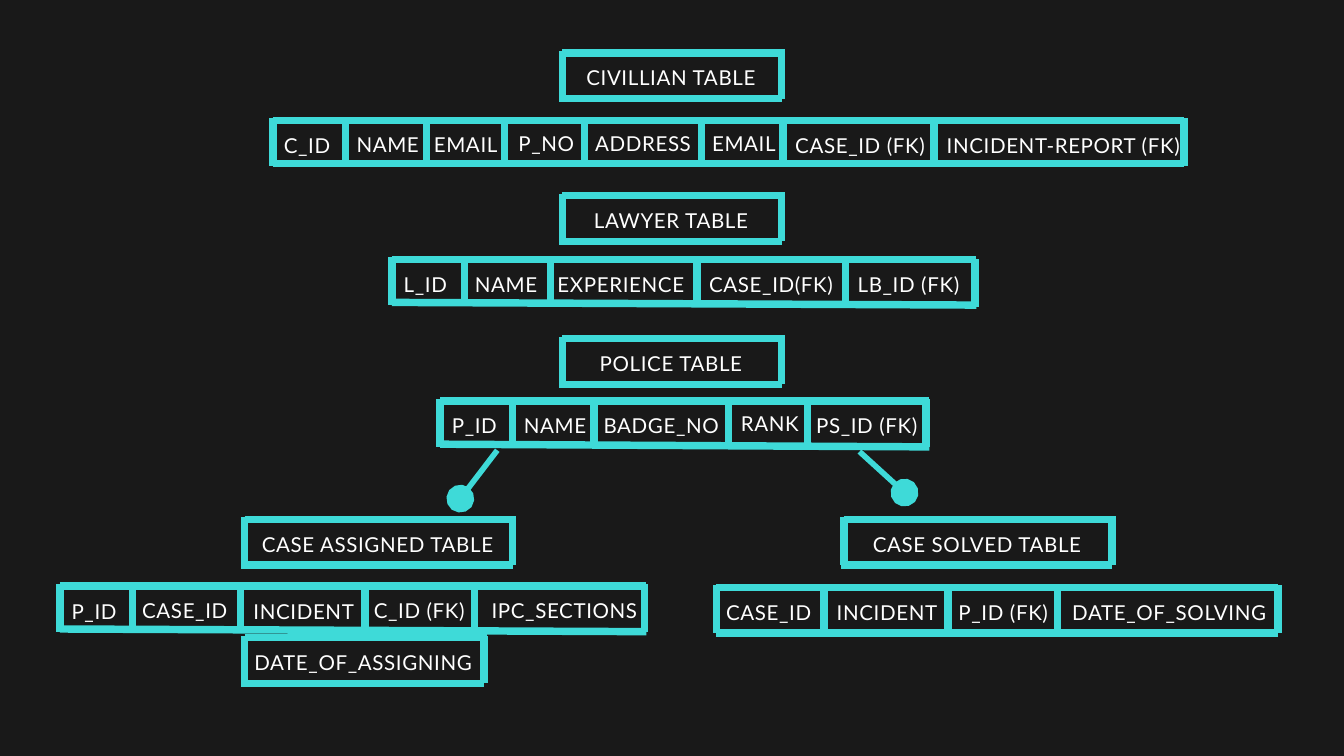
import pptx
import pptx.dml.color
import pptx.enum.shapes
import pptx.enum.text
import pptx.oxml
import pptx.oxml.ns
import pptx.util
from lxml import etree
from pptx.util import Inches

INK, TEAL, DARK = "FFFFFF", "3EDAD8", "191919"
HIGH = 0.71


def tint(color, code):
    color.rgb = pptx.dml.color.RGBColor.from_string(code)


def draw(shapes, x1, y1, x2, y2, size=8, dot=False):
    """Add a straight line, with a round end if dot is set."""
    link = shapes.add_connector(pptx.enum.shapes.MSO_CONNECTOR.STRAIGHT,
                                Inches(x1), Inches(y1), Inches(x2), Inches(y2))
    tint(link.line.color, TEAL)
    link.line.width = pptx.util.Pt(size)
    props = link._element.spPr
    if dot:
        line = props.find(pptx.oxml.ns.qn("a:ln"))
        etree.SubElement(line, pptx.oxml.ns.qn("a:tailEnd"), type="oval", w="lg", len="lg")
    etree.SubElement(props, pptx.oxml.ns.qn("a:effectLst"))


def label(shapes, text, x, y, w):
    frame = shapes.add_textbox(Inches(x), Inches(y), Inches(w), Inches(0.4)).text_frame
    frame.margin_left = frame.margin_right = frame.margin_top = frame.margin_bottom = 0
    frame.word_wrap = True
    frame.auto_size = pptx.enum.text.MSO_AUTO_SIZE.SHAPE_TO_FIT_TEXT
    frame.text = text
    para = frame.paragraphs[0]
    para.alignment = pptx.enum.text.PP_ALIGN.CENTER
    para.line_spacing = pptx.util.Pt(33)
    font = para.runs[0].font
    font.name, font.size = "Lato", pptx.util.Pt(22)
    tint(font.color, INK)
    para.runs[0]._r.get_or_add_rPr().set("spc", "70")


def title(slide, text, x, y, w):
    """Add one framed table name."""
    shapes = slide.shapes.add_group_shape().shapes
    label(shapes, text, x - 0.03, y + 0.12, w + 0.03)
    draw(shapes, x - 0.05, y + HIGH, x + w, y + HIGH)
    draw(shapes, x, y + 0.03, x + w + 0.05, y + 0.03)
    for side in (x, x + w):
        draw(shapes, side, y, side, y + HIGH)


def row(slide, box, bars, cells, base=(0.67, 0.71), low=None):
    """Add a row of fields: bars are offsets, base the bottom edge's two ends,
    low the index of a bar that sits lower, cells (text, left, width, top)."""
    x, y, w = box
    shapes = slide.shapes.add_group_shape().shapes
    draw(shapes, x, y + base[0], x + w, y + base[1])
    draw(shapes, x, y + 0.03, x + w, y + 0.03)
    for spot, bar in enumerate(bars):
        top = y + (0.03 if spot == low else 0)
        draw(shapes, x + bar, top, x + bar, top + HIGH)
    for text, left, width, top in cells:
        label(shapes, text, x + left, y + top, width)


def main():
    deck = pptx.Presentation()
    deck.slide_width, deck.slide_height = Inches(20), Inches(11.25)
    slide = deck.slides.add_slide(deck.slide_layouts[6])
    fill = slide.background.fill
    fill.solid()
    tint(fill.fore_color, DARK)

    for text, x, y, w in (
        ("CIVILLIAN TABLE", 8.37, 0.76, 3.26),
        ("LAWYER TABLE", 8.37, 2.88, 3.26),
        ("POLICE TABLE", 8.37, 5.01, 3.26),
        ("CASE ASSIGNED TABLE", 3.64, 7.7, 3.99),
        ("CASE SOLVED TABLE", 12.56, 7.7, 3.99),
    ):
        title(slide, text, x, y, w)

    row(slide, (4.06, 1.76, 13.56),
        (0, 1.08, 2.29, 3.45, 4.64, 6.38, 7.59, 9.84, 13.56),
        (("C_ID", -0.02, 1.06, 0.13), ("NAME", 1.18, 1.06, 0.12),
         ("EMAIL", 2.34, 1.06, 0.12), ("P_NO", 3.54, 1.06, 0.1),
         ("ADDRESS", 4.74, 1.54, 0.1), ("EMAIL", 6.48, 1.06, 0.1),
         ("CASE_ID (FK)", 7.73, 2.02, 0.13),
         ("INCIDENT-REPORT (FK)", 9.99, 3.55, 0.13)), base=(0.67, 0.67))
    row(slide, (5.83, 3.83, 8.7), (0, 1.08, 2.36, 4.54, 6.75, 8.68),
        (("L_ID", -0.03, 1.06, 0.13), ("NAME", 1.17, 1.06, 0.12),
         ("EXPERIENCE", 2.46, 1.9, 0.13), ("CASE_ID(FK)", 4.6, 2.09, 0.12),
         ("LB_ID (FK)", 6.77, 1.84, 0.12)), low=5)
    row(slide, (6.55, 5.94, 7.28), (0, 1.08, 2.29, 4.29, 5.47, 7.23),
        (("P_ID", -0.02, 1.06, 0.12), ("NAME", 1.18, 1.06, 0.12),
         ("BADGE_NO", 2.34, 1.9, 0.12), ("RANK", 4.43, 0.95, 0.09),
         ("PS_ID (FK)", 5.43, 1.84, 0.12)))
    row(slide, (0.89, 8.69, 8.73), (0, 1.08, 2.69, 4.54, 6.17, 8.7),
        (("P_ID", -0.02, 1.06, 0.13), ("CASE_ID", 1.18, 1.36, 0.12),
         ("INCIDENT", 2.68, 1.9, 0.13), ("C_ID (FK)", 4.63, 1.44, 0.12),
         ("IPC_SECTIONS", 6.36, 2.3, 0.12)), low=4)
    row(slide, (10.66, 8.71, 8.36), (0, 1.6, 3.45, 5.08, 8.36),
        (("CASE_ID", 0.1, 1.36, 0.12), ("INCIDENT", 1.59, 1.9, 0.12),
         ("P_ID (FK)", 3.55, 1.44, 0.12), ("DATE_OF_SOLVING", 5.27, 2.94, 0.12)),
        base=(0.71, 0.71), low=3)
    title(slide, "DATE_OF_ASSIGNING", 3.64, 9.46, 3.56)

    draw(slide.shapes, 7.4, 6.7, 6.85, 7.42, 6, True)
    draw(slide.shapes, 12.79, 6.72, 13.46, 7.33, 6, True)
    deck.save("out.pptx")


if __name__ == "__main__":
    main()
